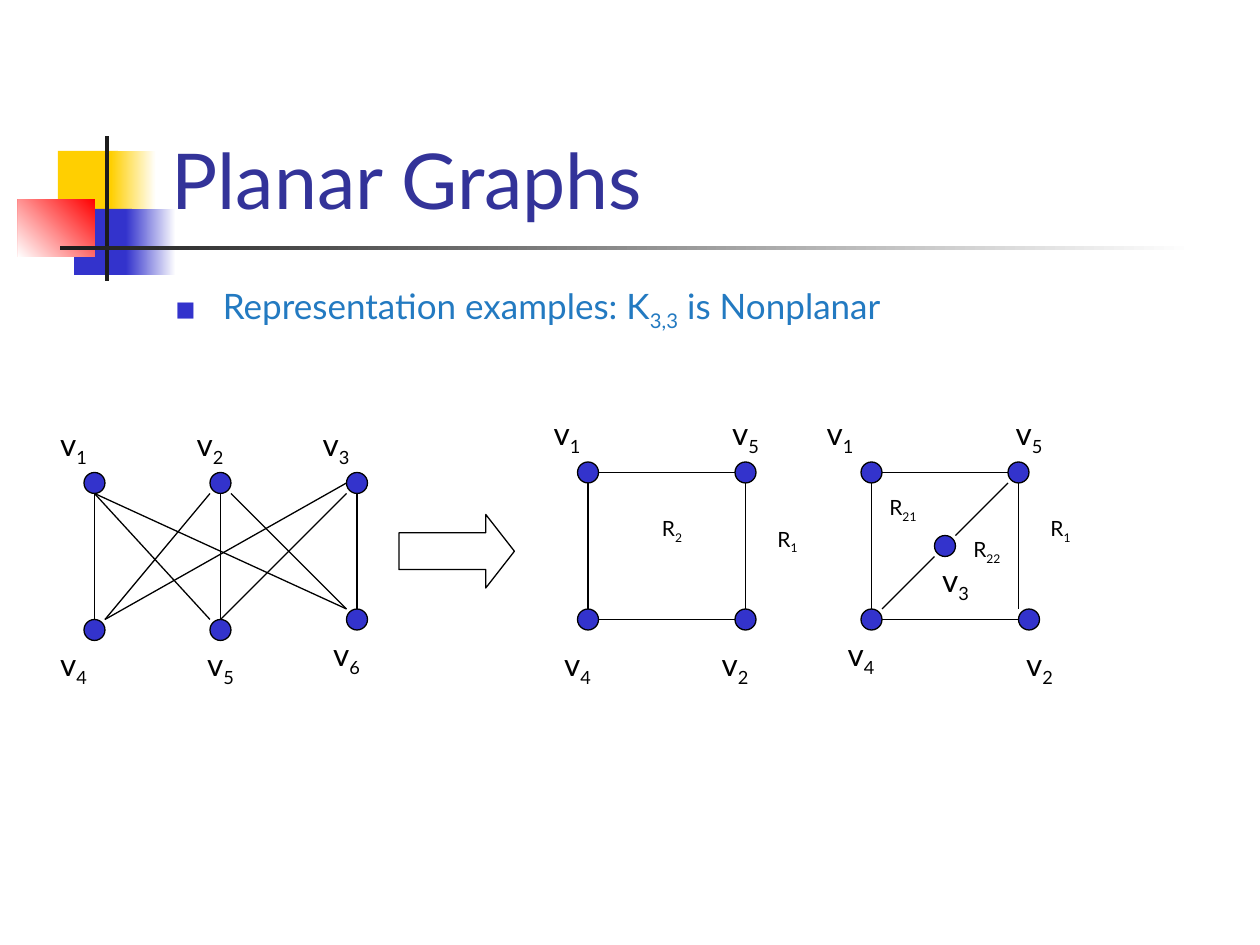
from lxml.etree import SubElement
from pptx import Presentation
from pptx.dml.color import RGBColor
from pptx.enum.shapes import MSO_CONNECTOR, MSO_SHAPE
from pptx.enum.text import MSO_ANCHOR, MSO_AUTO_SIZE, PP_ALIGN
from pptx.oxml.ns import qn
from pptx.util import Emu, Pt

PX = 914400 / 126
STEP = 914400 // 12  # the graphs sit on a grid of twelve steps to the inch
FONT = "Lato"
COLORS = {k: RGBColor.from_string(v) for k, v in {
    "white": "FFFFFF", "black": "000000", "yellow": "FFCF01", "blue": "3333CC",
    "red": "FF0000", "ink": "1C1C1C", "title": "333399", "body": "237AC1"}.items()}

TITLE = "Planar Graphs"
TITLE_BOX = (159, 29, 1074, 202)
BULLET = [("Representation examples: K", False), ("3,3", True), (" is Nonplanar", False)]
BULLET_BOX = (163, 278, 1071, 68)

# box in px, first colour, second colour (None: solid), gradient angle
ORNAMENT = [
    ((58, 151, 60, 66), "yellow", None, 0),
    ((111, 151, 45, 66), "yellow", "white", 0),
    ((74, 209, 58, 66), "blue", None, 0),
    ((126, 209, 50, 66), "blue", "white", 0),
    ((18, 199, 77, 58), "red", "white", 225),
    ((105, 136, 4, 145), "ink", None, 0),
    ((60, 246, 1134, 4), "ink", "white", 0),
]

# Grid steps: nodes by centre, edges by both ends, labels by top left corner
GRAPHS = {
    "K33": {
        "nodes": [(9, 46), (21, 46), (34, 46), (9, 60), (21, 60), (34, 59)],
        "edges": [(9, 47, 9, 59), (9, 47, 20, 59), (9, 47, 33, 58),
                  (20, 47, 10, 59), (21, 47, 21, 59), (22, 47, 33, 58),
                  (33, 46, 10, 59), (33, 47, 21, 59), (34, 47, 34, 58)],
        "labels": [("v", "1", 5, 41), ("v", "2", 18, 41), ("v", "3", 30, 41),
                   ("v", "4", 5, 62), ("v", "5", 19, 62), ("v", "6", 31, 61)],
    },
    "cycle": {
        "nodes": [(56, 45), (71, 45), (56, 59), (71, 59)],
        "edges": [(57, 45, 70, 45), (57, 59, 70, 59),
                  (56, 46, 56, 58), (71, 46, 71, 58)],
        "labels": [("v", "1", 52, 40), ("v", "5", 69, 40), ("v", "4", 53, 62),
                   ("v", "2", 68, 62), ("R", "2", 62, 49), ("R", "1", 73, 50)],
    },
    "split": {
        "nodes": [(83, 45), (97, 45), (83, 59), (98, 59), (90, 52)],
        "edges": [(84, 45, 96, 45), (84, 59, 97, 59), (83, 46, 83, 58),
                  (97, 46, 97, 58), (84, 58, 89, 53), (91, 51, 96, 46)],
        "labels": [("v", "1", 78, 40), ("v", "5", 96, 40), ("v", "4", 80, 61),
                   ("v", "2", 97, 62), ("v", "3", 89, 54), ("R", "21", 84, 47),
                   ("R", "22", 92, 51), ("R", "1", 99, 49)],
    },
}
ARROW = (38, 49, 11, 7)
NODE_RADIUS = 1
LABEL_SIZE = (4, 3)
LABEL_PT = {"v": 18, "R": 12}


def emu(values, unit):
    return [Emu(round(v * unit)) for v in values]


def add_preset(s, kind, box, unit, fill, line=None):
    sp = s.shapes.add_shape(kind, *emu(box, unit))
    sp.shadow.inherit = False
    sp.fill.solid()
    sp.fill.fore_color.rgb = COLORS[fill]
    if line:
        sp.line.color.rgb = COLORS[line]
        sp.line.width = Pt(0.75)
    else:
        sp.line.fill.background()
    return sp


def add_edge(s, ends):
    line = s.shapes.add_connector(MSO_CONNECTOR.STRAIGHT, *emu(ends, STEP))
    line.line.color.rgb = COLORS["black"]
    line.line.width = Pt(0.75)
    SubElement(line._element.spPr, qn("a:effectLst"))


def add_run(p, text, size, color, subscript=False):
    r = p.add_run()
    r.text = text
    for name, value in {"name": FONT, "size": Pt(size)}.items():
        setattr(r.font, name, value)
    r.font.color.rgb = COLORS[color]
    if subscript:
        r._r.get_or_add_rPr().set("baseline", "-25000")


def add_label(s, letter, index, x, y):
    sp = add_preset(s, MSO_SHAPE.RECTANGLE, (x, y, *LABEL_SIZE), STEP, "white", "white")
    tf = sp.text_frame
    tf.word_wrap = False
    tf.vertical_anchor = MSO_ANCHOR.MIDDLE
    p = tf.paragraphs[0]
    p.alignment = PP_ALIGN.CENTER
    add_run(p, letter, LABEL_PT[letter], "black")
    add_run(p, index, LABEL_PT[letter], "black", True)


def add_ornament(s):
    for box, color, end, angle in ORNAMENT:
        sp = add_preset(s, MSO_SHAPE.RECTANGLE, box, PX, color)
        if end:
            sp.fill.gradient()
            sp.fill.gradient_angle = angle
            for stop, name in zip(sp.fill.gradient_stops, (color, end)):
                stop.color.rgb = COLORS[name]


def place_text(s, sp, box, anchor):
    """Move a placeholder, bring it to the front and return its first paragraph."""
    s.shapes._spTree.append(sp._element)
    for name, value in zip(("left", "top", "width", "height"), emu(box, PX)):
        setattr(sp, name, value)
    tf = sp.text_frame
    tf.auto_size = MSO_AUTO_SIZE.NONE
    tf.vertical_anchor = anchor
    p = tf.paragraphs[0]
    p.alignment = PP_ALIGN.LEFT
    return p


def add_square_bullet(p):
    pPr = p._p.get_or_add_pPr()
    pPr.set("marL", "342900")
    pPr.set("indent", "-342900")
    color = SubElement(pPr, qn("a:buClr"))
    SubElement(color, qn("a:srgbClr"), val=str(COLORS["blue"]))
    SubElement(pPr, qn("a:buSzPct"), val="60000")
    SubElement(pPr, qn("a:buFont"), typeface=FONT)
    SubElement(pPr, qn("a:buChar"), char="■")


def main():
    prs = Presentation()
    prs.slide_width, prs.slide_height = emu((1260, 945), PX)
    s = prs.slides.add_slide(prs.slide_layouts.get_by_name("Title and Content"))

    add_ornament(s)
    p = place_text(s, s.shapes.title, TITLE_BOX, MSO_ANCHOR.BOTTOM)
    add_run(p, TITLE, 44, "title")
    p = place_text(s, s.placeholders[1], BULLET_BOX, MSO_ANCHOR.TOP)
    add_square_bullet(p)
    p.space_before = Pt(0)
    for text, subscript in BULLET:
        add_run(p, text, 20, "body", subscript)

    for graph in GRAPHS.values():
        for x, y in graph["nodes"]:
            box = (x - NODE_RADIUS, y - NODE_RADIUS, 2 * NODE_RADIUS, 2 * NODE_RADIUS)
            add_preset(s, MSO_SHAPE.OVAL, box, STEP, "blue", "black")
        for ends in graph["edges"]:
            add_edge(s, ends)
        for label in graph["labels"]:
            add_label(s, *label)

    arrow = add_preset(s, MSO_SHAPE.RIGHT_ARROW, ARROW, STEP, "white", "black")
    arrow.adjustments[1] = 0.39
    prs.save("out.pptx")


if __name__ == "__main__":
    main()
